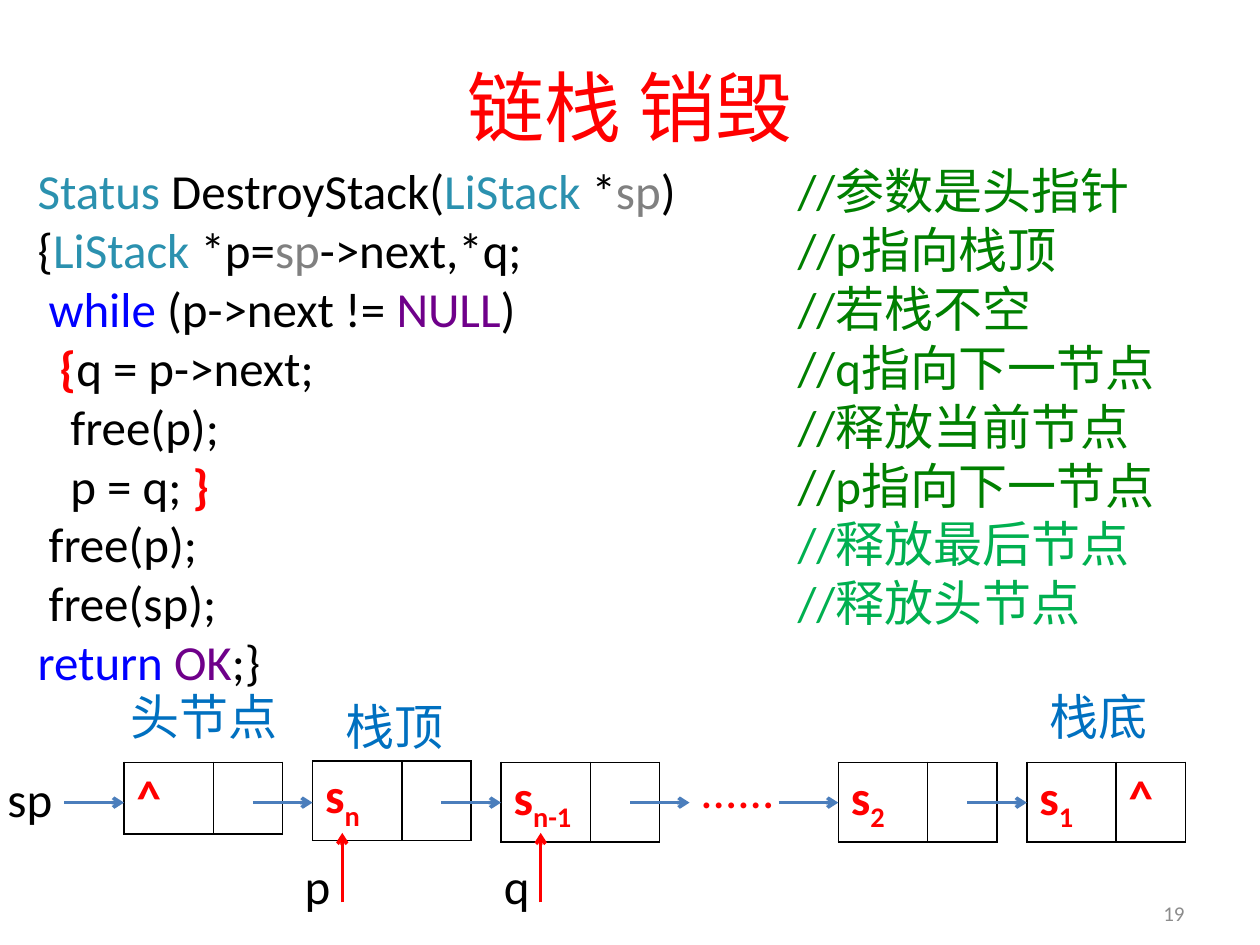
from pptx import Presentation
from pptx.util import Cm, Pt
from pptx.dml.color import RGBColor as RGB
from pptx.enum.shapes import MSO_CONNECTOR as CONN
from pptx.enum.text import MSO_ANCHOR as ANCHOR, PP_ALIGN as ALIGN
from pptx.oxml.ns import qn
from lxml.etree import SubElement

LATIN, CJK = "Calibri", "Noto Sans CJK SC"
BLACK, RED, WHITE = RGB(0, 0, 0), RGB(255, 0, 0), RGB(255, 255, 255)
TYPE, PARAM, MACRO = RGB(0x2B, 0x91, 0xAF), RGB(128, 128, 128), RGB(0x6F, 0, 0x8A)
KEYWORD, GREEN, LIGHT_GREEN = RGB(0, 0, 255), RGB(0, 128, 0), RGB(0, 0xB0, 0x50)
LABEL, ARROW, NUMBER = RGB(0, 0x70, 0xC0), RGB(0x4B, 0x7E, 0xBC), RGB(140, 140, 140)

LINE_PITCH = Pt(33.7)
SPACE = 0.22             # indent of one code column, cm
COMMENT_TAB = 15.32      # where the comments start, cm
NODE_STEP, DATA_W, NEXT_W = 3.8, 1.8, 1.4
NODE_Y, LINK_Y, LINK_LEN = 15.37, 16.18, 1.2

# indent, code runs, comment marker, comment text, comment colour
CODE = [
    (0, [("Status", TYPE), (" DestroyStack(", BLACK), ("LiStack", TYPE), (" *", BLACK),
         ("sp", PARAM), (")", BLACK)], "//", "参数是头指针", GREEN),
    (0, [("{", BLACK), ("LiStack", TYPE), (" *p=", BLACK), ("sp", PARAM),
         ("->next,*q;", BLACK)], "//p", "指向栈顶", GREEN),
    (1, [("while", KEYWORD), (" (p->next != ", BLACK), ("NULL", MACRO), (")", BLACK)],
     "//", "若栈不空", GREEN),
    (2, [("{", RED), ("q = p->next;", BLACK)], "//q", "指向下一节点", GREEN),
    (3, [("free(p);", BLACK)], "//", "释放当前节点", GREEN),
    (3, [("p = q; ", BLACK), ("}", RED)], "//p", "指向下一节点", GREEN),
    (1, [("free(p);", BLACK)], "//", "释放最后节点", LIGHT_GREEN),
    (1, [("free(sp);", BLACK)], "//", "释放头节点", LIGHT_GREEN),
    (0, [("return", KEYWORD), (" ", BLACK), ("OK", MACRO), (";}", BLACK)], "", "", GREEN),
]

# left edge, top, data text, subscript, link text
NODES = [
    (2.5, NODE_Y, "^", "", ""),
    (2.5 + NODE_STEP, 15.34, "s", "n", ""),
    (2.5 + 2 * NODE_STEP, NODE_Y, "s", "n-1", ""),
    (16.9, NODE_Y, "s", "2", ""),
    (16.9 + NODE_STEP, NODE_Y, "s", "1", "^"),
]

# left, top, width, text, colour, font
LABELS = [
    (20.9, 13.72, 2.51, "栈底", LABEL, CJK),
    (6.71, 13.92, 2.51, "栈顶", LABEL, CJK),
    (2.39, 13.72, 3.51, "头节点", LABEL, CJK),
    (13.87, 15.19, 2.03, "......", RED, LATIN),
    (-0.1, 15.37, 1.42, "sp", BLACK, LATIN),
    (5.89, 17.12, 1.04, "p", BLACK, LATIN),
    (9.91, 17.12, 1.04, "q", BLACK, LATIN),
]


def style(r, color, size=28, font=LATIN, bold=False):
    r.font.size, r.font.name, r.font.bold = Pt(size), font, bold
    r.font.color.rgb = color
    if font == CJK:
        SubElement(r._r.get_or_add_rPr(), qn("a:ea"), typeface=font)


def add_run(p, text, color, **kw):
    r = p.add_run()
    r.text = text
    style(r, color, **kw)
    return r


def add_text(s, x, y, w, h, wrap=True):
    tf = s.shapes.add_textbox(Cm(x), Cm(y), Cm(w), Cm(h)).text_frame
    tf.word_wrap = wrap
    return tf


def add_title(s, text):
    sp = s.shapes.title
    sp.left, sp.top, sp.width, sp.height = Cm(1.27), Cm(0.94), Cm(22.86), Cm(2.39)
    sp.text_frame.text = text
    sp.text_frame.vertical_anchor = ANCHOR.MIDDLE
    p = sp.text_frame.paragraphs[0]
    p.alignment = ALIGN.CENTER
    style(p.runs[0], RED, size=44, font=CJK)


def add_tabs(p, stops):
    tabs = SubElement(p._p.get_or_add_pPr(), qn("a:tabLst"))
    for pos in stops:
        SubElement(tabs, qn("a:tab"), pos=str(int(Cm(pos))), algn="l")


def add_code(s):
    tf = add_text(s, 0.51, 3.1, 23.8, 11.02)
    for i, (indent, runs, marker, comment, color) in enumerate(CODE):
        p = tf.paragraphs[0] if i == 0 else tf.add_paragraph()
        p.line_spacing = LINE_PITCH
        add_tabs(p, ([indent * SPACE] if indent else []) + [COMMENT_TAB])
        if indent:
            add_run(p, "\t", BLACK)
        for text, run_color in runs:
            add_run(p, text, run_color, bold=run_color == RED)
        if comment:
            add_run(p, "\t" + marker, color)
            add_run(p, comment, color, font=CJK)


def add_label(s, x, y, w, text, color, font):
    p = add_text(s, x, y, w, 1.45, wrap=False).paragraphs[0]
    p.line_spacing = LINE_PITCH
    add_run(p, text, color, font=font)


def outline_cell(cell):
    tcPr = cell._tc.get_or_add_tcPr()
    for side in ("lnL", "lnR", "lnT", "lnB"):
        ln = SubElement(tcPr, qn("a:" + side), w=str(int(Pt(1))))
        SubElement(SubElement(ln, qn("a:solidFill")), qn("a:srgbClr"), val=str(BLACK))
    cell.fill.background()


def add_node(s, x, y, data, sub, link):
    table = s.shapes.add_table(1, 2, Cm(x), Cm(y), Cm(DATA_W + NEXT_W), Cm(1.04)).table
    table.first_row = table.horz_banding = False
    table.columns[0].width, table.columns[1].width = Cm(DATA_W), Cm(NEXT_W)
    for cell, text in zip(table.rows[0].cells, (data, link)):
        outline_cell(cell)
        if text:
            add_run(cell.text_frame.paragraphs[0], text, RED, bold=True)
    if sub:
        r = add_run(table.cell(0, 0).text_frame.paragraphs[0], sub, RED, bold=True)
        r._r.get_or_add_rPr().set("baseline", "-25000")


def add_arrow(s, x1, y1, x2, y2, color):
    c = s.shapes.add_connector(CONN.STRAIGHT, Cm(x1), Cm(y1), Cm(x2), Cm(y2))
    c.line.color.rgb, c.line.width = color, Pt(2)
    SubElement(c.line._get_or_add_ln(), qn("a:tailEnd"), type="arrow")
    SubElement(c._element.spPr, qn("a:effectLst"))


def add_page_number(s, text):
    tf = add_text(s, 18.2, 17.9, 5.93, 1.01)
    tf.vertical_anchor = ANCHOR.MIDDLE
    tf.paragraphs[0].alignment = ALIGN.RIGHT
    add_run(tf.paragraphs[0], text, NUMBER, size=12)


def main():
    prs = Presentation()
    prs.slide_width, prs.slide_height = Cm(25.4), Cm(19.05)
    s = prs.slides.add_slide(prs.slide_layouts[5])
    s.background.fill.solid()
    s.background.fill.fore_color.rgb = WHITE

    # Title, page number and listing
    add_title(s, "链栈 销毁")
    add_page_number(s, "19")
    add_code(s)

    # Linked stack: nodes, labels and links
    for node in NODES:
        add_node(s, *node)
    for label in LABELS:
        add_label(s, *label)
    link_ends = [node[0] for node in NODES] + [13.9]
    for x in link_ends:
        add_arrow(s, x - LINK_LEN, LINK_Y, x, LINK_Y, ARROW)

    # Pointers p and q
    for x in (6.9, 10.9):
        add_arrow(s, x, 18.19, x, 16.79, RED)

    prs.save("out.pptx")


main()
